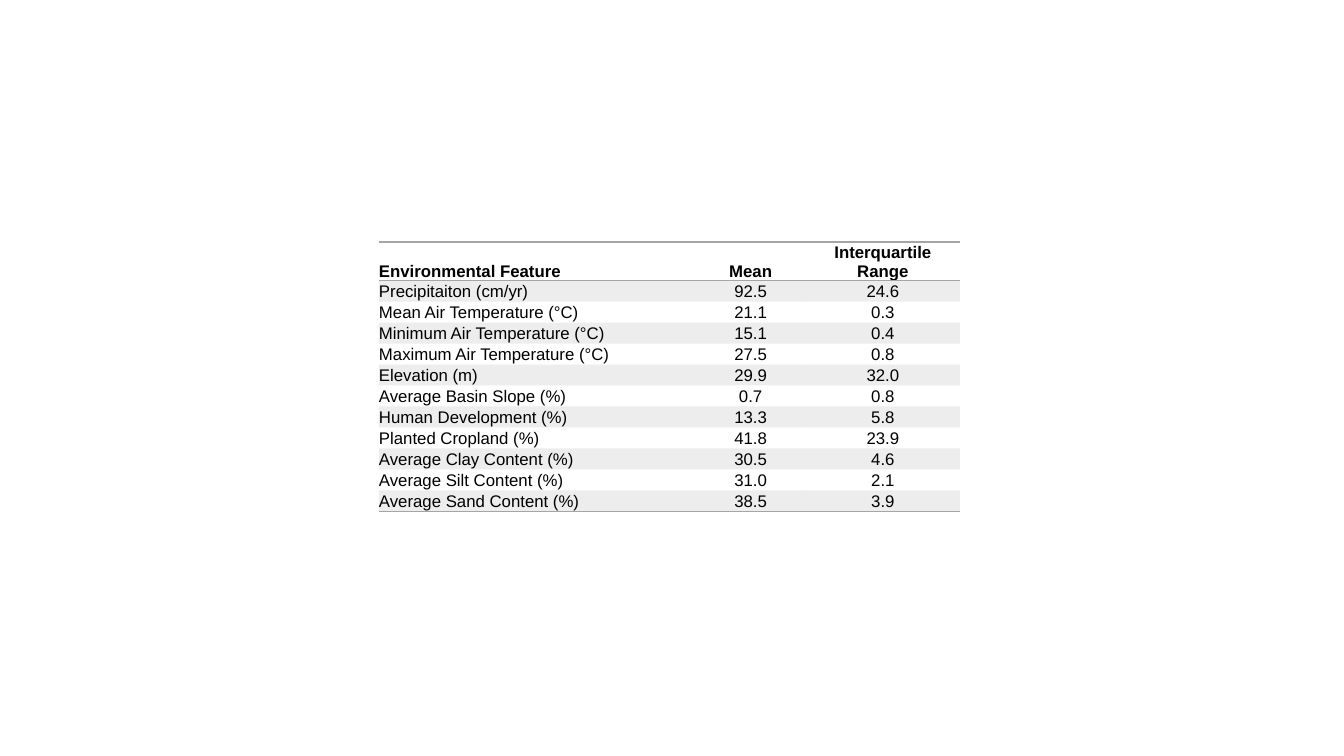
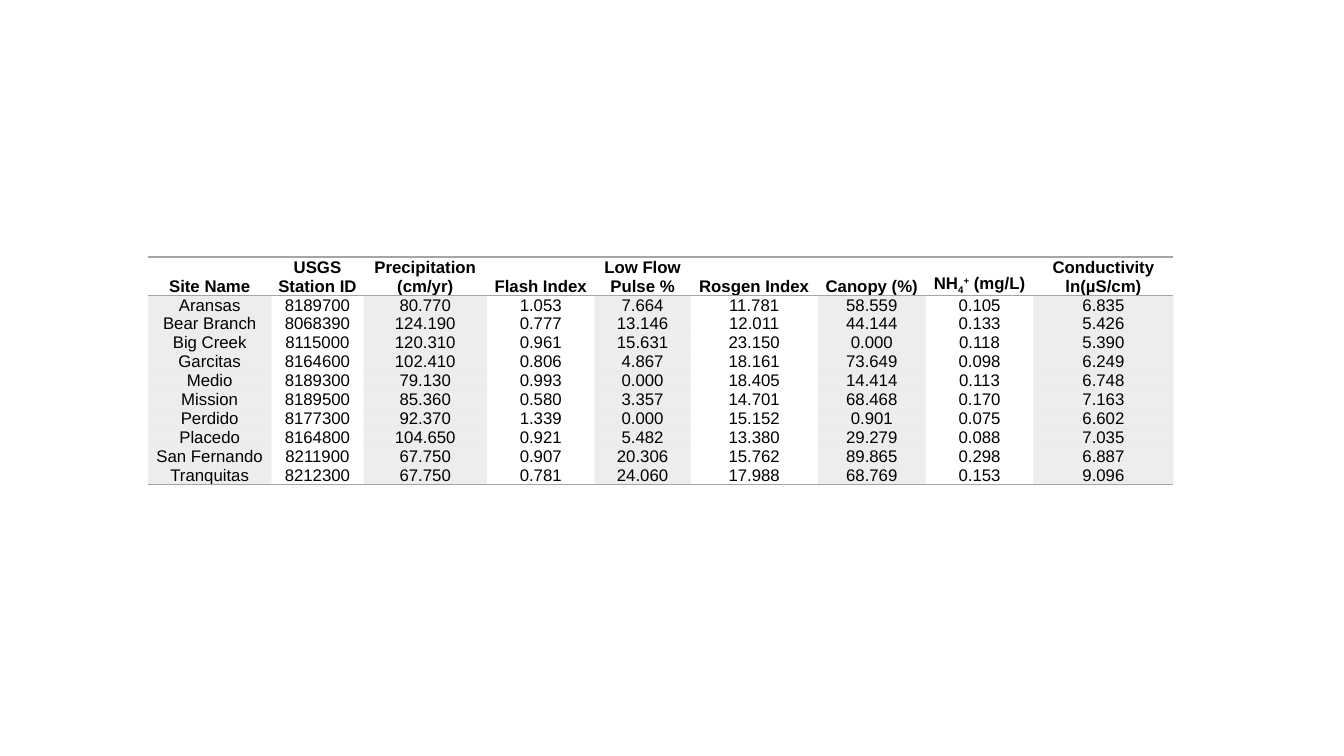
from lxml.etree import SubElement
from pptx import Presentation
from pptx.dml.color import RGBColor
from pptx.enum.text import MSO_ANCHOR, PP_ALIGN
from pptx.oxml.ns import qn
from pptx.util import Pt

# Shared look
FONT, SIZE = "Arial", 12
BLACK, GREY = "000000", "A5A5A5"
SHADE_ALPHA = 20000
RULE_WIDTH = Pt(1)
PLAIN_STYLE = "{2D5ABB26-0587-4C30-8999-92F81FD0307C}"
HEADER_HEIGHT = 27.6

# A header given as a list holds (text, baseline percent) runs
AMMONIUM = [("NH", 0), ("4", -25), ("+", 30), (" (mg/L)", 0)]

TABLES = [
    {
        "left": 270.7, "top": 172.8, "row_height": 15,
        "widths": [226, 79, 110],
        "first_align": PP_ALIGN.LEFT, "shade_by": "row",
        "rows": [
            ("Environmental Feature", "Mean", "Interquartile\nRange"),
            ("Precipitaiton (cm/yr)", "92.5", "24.6"),
            ("Mean Air Temperature (°C)", "21.1", "0.3"),
            ("Minimum Air Temperature (°C)", "15.1", "0.4"),
            ("Maximum Air Temperature (°C)", "27.5", "0.8"),
            ("Elevation (m)", "29.9", "32.0"),
            ("Average Basin Slope (%)", "0.7", "0.8"),
            ("Human Development (%)", "13.3", "5.8"),
            ("Planted Cropland (%)", "41.8", "23.9"),
            ("Average Clay Content (%)", "30.5", "4.6"),
            ("Average Silt Content (%)", "31.0", "2.1"),
            ("Average Sand Content (%)", "38.5", "3.9"),
        ],
    },
    {
        "left": 105.8, "top": 183.6, "row_height": 13.5,
        "widths": [88, 66, 88, 77, 68.5, 91, 77, 77, 100],
        "first_align": PP_ALIGN.CENTER, "shade_by": "column",
        "rows": [
            ("Site Name", "USGS\nStation ID", "Precipitation\n(cm/yr)", "Flash Index",
             "Low Flow\nPulse %", "Rosgen Index", "Canopy (%)", AMMONIUM,
             "Conductivity\nln(µS/cm)"),
            ("Aransas", "8189700", "80.770", "1.053", "7.664", "11.781", "58.559", "0.105", "6.835"),
            ("Bear Branch", "8068390", "124.190", "0.777", "13.146", "12.011", "44.144", "0.133", "5.426"),
            ("Big Creek", "8115000", "120.310", "0.961", "15.631", "23.150", "0.000", "0.118", "5.390"),
            ("Garcitas", "8164600", "102.410", "0.806", "4.867", "18.161", "73.649", "0.098", "6.249"),
            ("Medio", "8189300", "79.130", "0.993", "0.000", "18.405", "14.414", "0.113", "6.748"),
            ("Mission", "8189500", "85.360", "0.580", "3.357", "14.701", "68.468", "0.170", "7.163"),
            ("Perdido", "8177300", "92.370", "1.339", "0.000", "15.152", "0.901", "0.075", "6.602"),
            ("Placedo", "8164800", "104.650", "0.921", "5.482", "13.380", "29.279", "0.088", "7.035"),
            ("San Fernando", "8211900", "67.750", "0.907", "20.306", "15.762", "89.865", "0.298", "6.887"),
            ("Tranquitas", "8212300", "67.750", "0.781", "24.060", "17.988", "68.769", "0.153", "9.096"),
        ],
    },
]


def color(value):
    return RGBColor.from_string(value)


def write_text(cell, content, align, bold):
    frame = cell.text_frame
    if isinstance(content, str):
        frame.text = content
    else:
        for text, baseline in content:
            span = frame.paragraphs[0].add_run()
            span.text = text
            if baseline:
                span._r.get_or_add_rPr().set("baseline", str(baseline * 1000))
    for para in frame.paragraphs:
        para.alignment = align
        for span in para.runs:
            font = span.font
            font.name, font.size, font.bold = FONT, Pt(SIZE), bold
            font.color.rgb = color(BLACK)


def add_rule(cell, side):
    line = SubElement(cell._tc.get_or_add_tcPr(), qn(f"a:ln{side}"), w=str(RULE_WIDTH))
    SubElement(SubElement(line, qn("a:solidFill")), qn("a:srgbClr"), val=GREY)


def shade(cell, shaded):
    if not shaded:
        cell.fill.background()
        return
    cell.fill.solid()
    cell.fill.fore_color.rgb = color(GREY)
    tint = cell._tc.tcPr.find(qn("a:solidFill")).find(qn("a:srgbClr"))
    SubElement(tint, qn("a:alpha"), val=str(SHADE_ALPHA))


def add_data_table(page, data):
    rows, widths = data["rows"], data["widths"]
    last = len(rows) - 1
    height = HEADER_HEIGHT + last * data["row_height"]
    box = page.shapes.add_table(len(rows), len(widths), Pt(data["left"]), Pt(data["top"]),
                                Pt(sum(widths)), Pt(height))
    table = box.table
    table.first_row = table.horz_banding = False
    table._tbl.tblPr.find(qn("a:tableStyleId")).text = PLAIN_STYLE
    for column, width in zip(table.columns, widths):
        column.width = Pt(width)

    for r, values in enumerate(rows):
        header = r == 0
        table.rows[r].height = Pt(HEADER_HEIGHT if header else data["row_height"])
        for c, content in enumerate(values):
            cell = table.cell(r, c)
            cell.margin_left = cell.margin_right = cell.margin_top = cell.margin_bottom = 0
            cell.vertical_anchor = MSO_ANCHOR.BOTTOM
            align = data["first_align"] if c == 0 else PP_ALIGN.CENTER
            write_text(cell, content, align, header)
            # Rules frame the header and close the table
            if header:
                add_rule(cell, "T")
            if r in (0, last):
                add_rule(cell, "B")
            # Every other body row or column is shaded
            striped = r % 2 == 1 if data["shade_by"] == "row" else c % 2 == 0
            shade(cell, striped and not header)


def main():
    deck = Presentation()
    deck.slide_width, deck.slide_height = Pt(960), Pt(540)
    for data in TABLES:
        add_data_table(deck.slides.add_slide(deck.slide_layouts[6]), data)
    deck.save("out.pptx")


if __name__ == "__main__":
    main()
